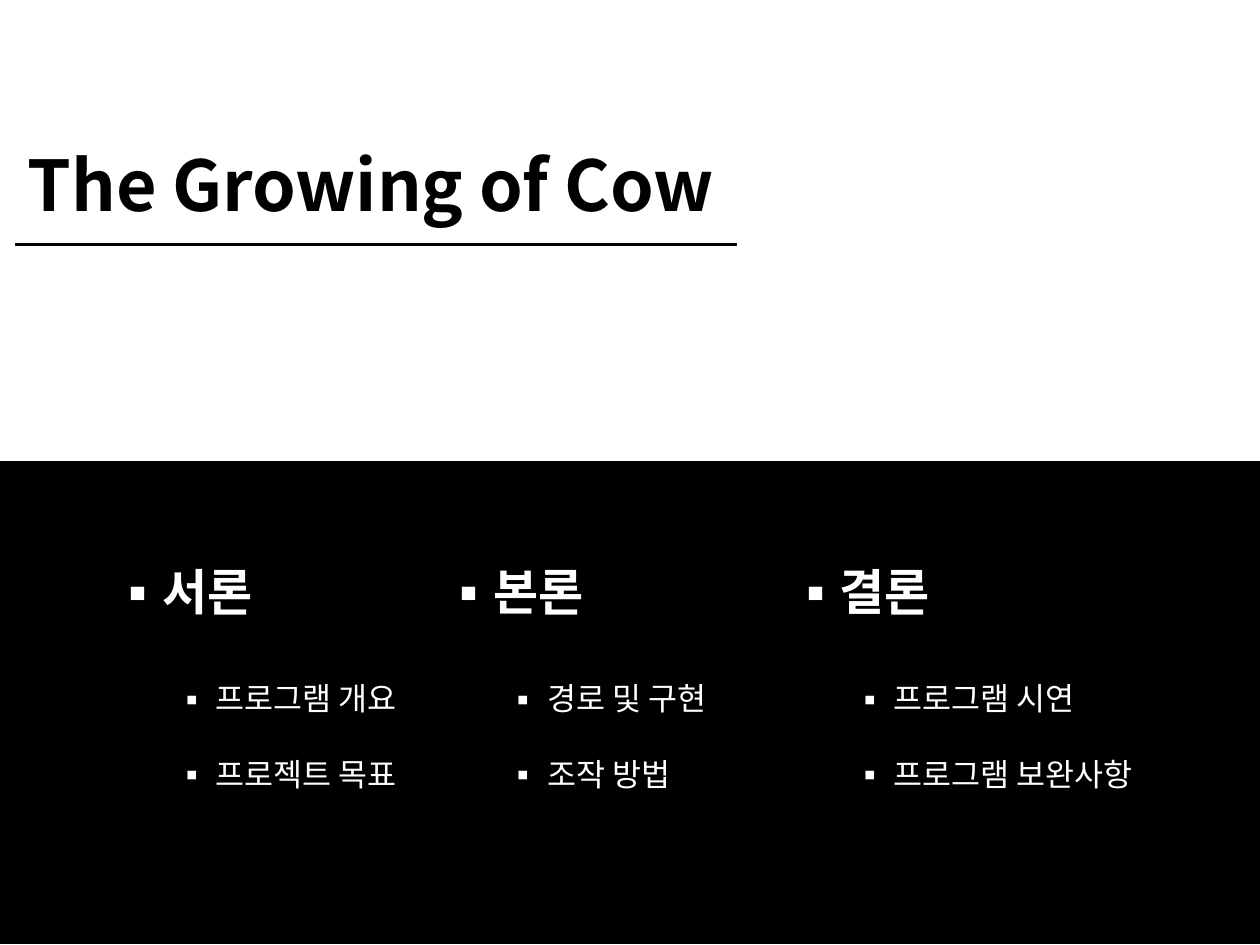
from pptx import Presentation
from pptx.util import Pt
from pptx.dml.color import RGBColor
from pptx.enum import shapes, text
from pptx.oxml.ns import qn
from lxml import etree

COLORS = {"ink": "000000", "paper": "FFFFFF"}
FONT = "Noto Sans CJK KR"
SECTIONS = [  # left, width, heading, topics
    (57.6, 189.4, "서론", ["프로그램 개요", "프로젝트 목표"]),
    (247, 198, "본론", ["경로 및 구현", "조작 방법"]),
    (445, 266.4, "결론", ["프로그램 시연", "프로그램 보완사항"]),
]


def add_run(p, words, size, color, bold):
    r = p.add_run()
    r.text = words
    r.font.size, r.font.bold, r.font.name = Pt(size), bold, FONT
    r.font.color.rgb = RGBColor.from_string(COLORS[color])
    ea = etree.SubElement(r._r.get_or_add_rPr(), qn("a:ea"))
    ea.set("typeface", FONT)


def add_bullet(p, indent):
    """Give the paragraph a square bullet with a hanging indent."""
    pPr = p._p.get_or_add_pPr()
    pPr.set("marL", str(Pt(indent)))
    pPr.set("indent", str(-Pt(22.5)))
    etree.SubElement(pPr, qn("a:buFont")).set("typeface", FONT)
    etree.SubElement(pPr, qn("a:buChar")).set("char", "▪")


prs = Presentation()
prs.slide_width, prs.slide_height = Pt(720), Pt(540)
s = prs.slides.add_slide(prs.slide_layouts[5])

# Lower panel
panel = s.shapes.add_shape(shapes.MSO_SHAPE.RECTANGLE, Pt(0.7), Pt(264.3), Pt(719.3), Pt(274.3))
panel.shadow.inherit = False
panel.fill.solid()
panel.fill.fore_color.rgb = RGBColor.from_string(COLORS["ink"])
panel.line.color.rgb = RGBColor.from_string(COLORS["ink"])
panel.line.width = Pt(2)

# Title and its rule
title = s.shapes.title
title.left, title.top, title.width, title.height = Pt(8.6), Pt(77), Pt(412.6), Pt(55.4)
tf = title.text_frame
tf.word_wrap = False
tf.auto_size = text.MSO_AUTO_SIZE.NONE
tf.vertical_anchor = text.MSO_ANCHOR.TOP
p = tf.paragraphs[0]
p.alignment = text.PP_ALIGN.LEFT
add_run(p, "The Growing of Cow", 40, "ink", True)

rule = s.shapes.add_connector(shapes.MSO_CONNECTOR.STRAIGHT, Pt(8.6), Pt(139.7), Pt(421.2), Pt(139.7))
rule.line.color.rgb = RGBColor.from_string(COLORS["ink"])
rule.line.width = Pt(1.5)
etree.SubElement(rule._element.spPr, qn("a:effectLst"))

# Section columns
for left, width, heading, topics in SECTIONS:
    tf = s.shapes.add_textbox(Pt(left), Pt(317.5), Pt(width), Pt(140.4)).text_frame
    tf.word_wrap = True
    p = tf.paragraphs[0]
    add_bullet(p, 22.5)
    add_run(p, heading, 28, "paper", True)
    for topic, gap in zip(topics, (33.6, 21.6)):
        p = tf.add_paragraph()
        p.level = 1
        p.space_before = Pt(gap)
        add_bullet(p, 58.5)
        add_run(p, topic, 18, "paper", False)

prs.save("out.pptx")
